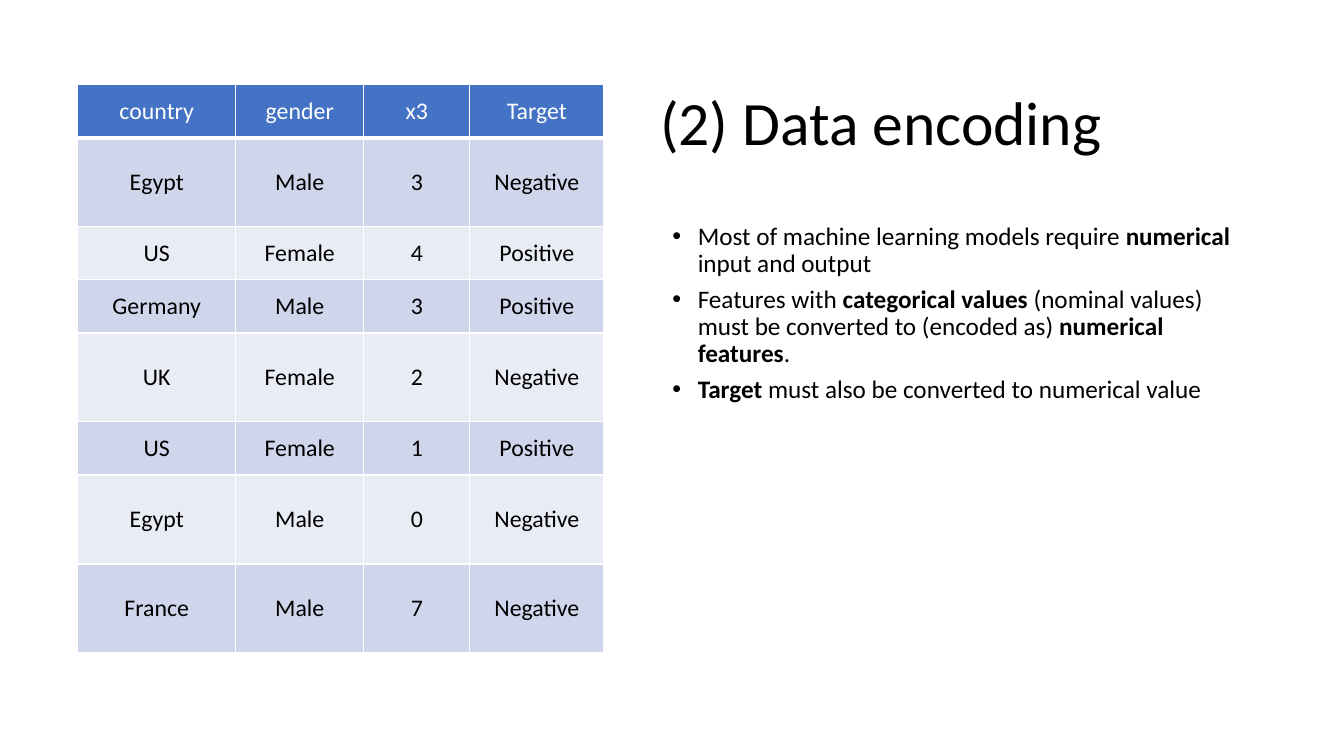
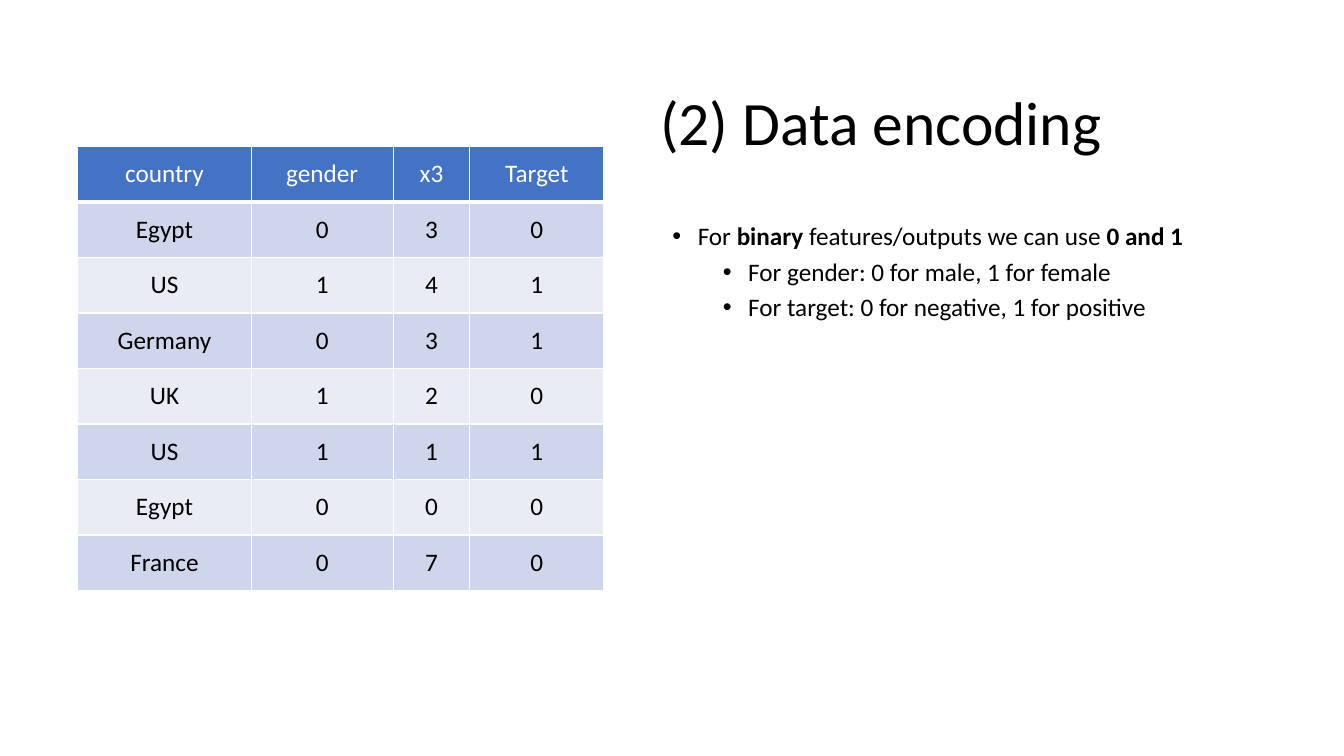
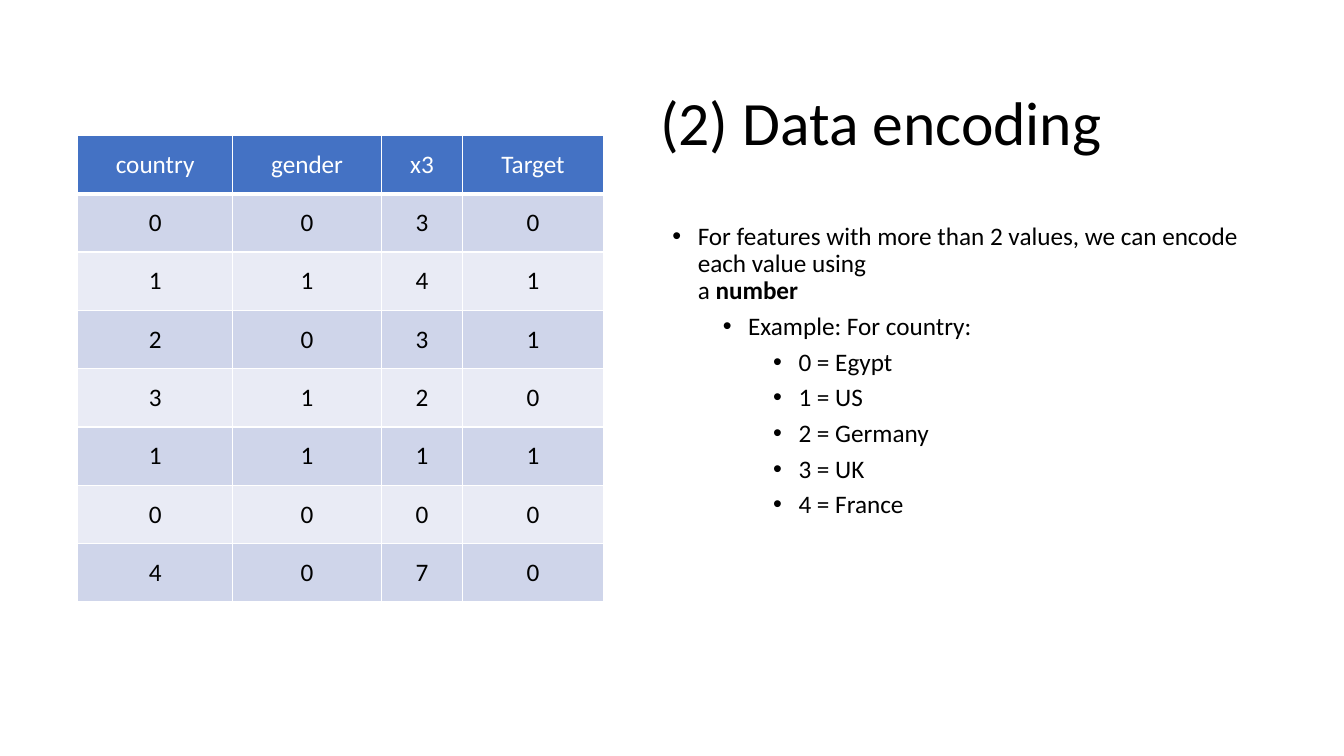
import dataclasses

import lxml.etree
import pptx
import pptx.dml.color
import pptx.enum.text
import pptx.oxml.ns
import pptx.slide
import pptx.table
import pptx.text.text
import pptx.util

Cm = pptx.util.Cm
Pt = pptx.util.Pt
RGBColor = pptx.dml.color.RGBColor
ALIGN = pptx.enum.text.PP_ALIGN
ANCHOR = pptx.enum.text.MSO_ANCHOR
qualified_name = pptx.oxml.ns.qn

# Shared look
BLACK = RGBColor(0x00, 0x00, 0x00)
WHITE = RGBColor(0xFF, 0xFF, 0xFF)
HEADER_BLUE = RGBColor(0x44, 0x72, 0xC4)
BAND_DARK = RGBColor(0xCF, 0xD5, 0xEA)
BAND_LIGHT = RGBColor(0xE9, 0xEB, 0xF5)

TITLE = "(2) Data encoding"
TITLE_FONT = {"name": "Calibri", "size": Pt(44), "bold": False}
BODY_FONT = {"name": "Calibri", "size": Pt(18)}
TITLE_BOX = {"left": Cm(16.38), "top": Cm(1.32), "width": Cm(15.16), "height": Cm(3.68)}
BODY_BOX = TITLE_BOX | {"top": Cm(5.51), "height": Cm(11.63)}
TITLE_PARAGRAPH = {"alignment": ALIGN.LEFT, "line_spacing": 0.9, "space_before": Pt(0)}
BODY_PARAGRAPH = TITLE_PARAGRAPH | {"space_after": Pt(6)}

TABLE_LEFT = Cm(1.96)
TABLE_MIDDLE = Cm(9.29)
FIRST_INDENT = Cm(0.95)
LEVEL_INDENT = Cm(1.27)
BULLET_HANG = Cm(0.64)

# Sample data and its numeric codes
HEADER = ("country", "gender", "x3", "Target")
RECORDS = (
    ("Egypt", "Male", "3", "Negative"),
    ("US", "Female", "4", "Positive"),
    ("Germany", "Male", "3", "Positive"),
    ("UK", "Female", "2", "Negative"),
    ("US", "Female", "1", "Positive"),
    ("Egypt", "Male", "0", "Negative"),
    ("France", "Male", "7", "Negative"),
)
BINARY_CODES = {"Male": "0", "Female": "1", "Negative": "0", "Positive": "1"}
COUNTRY_CODES = {
    country: str(code)
    for code, country in enumerate(("Egypt", "US", "Germany", "UK", "France"))
}


@dataclasses.dataclass(frozen=True)
class Bullet:
    """A list item; text between ** marks is bold."""

    text: str
    level: int = 0


@dataclasses.dataclass(frozen=True)
class DataTable:
    codes: dict[str, str]
    column_widths: tuple[float, ...]
    row_heights: tuple[float, ...]
    font_size: int
    side_margin: float
    edge_margin: float


@dataclasses.dataclass(frozen=True)
class EncodingSlide:
    bullets: tuple[Bullet, ...]
    table: DataTable


ROW_COUNT = len(RECORDS) + 1
SLIDES = (
    EncodingSlide(
        (
            Bullet("Most of machine learning models require **numerical** input and output"),
            Bullet(
                "Features with **categorical values **(nominal values) must be "
                "converted to (encoded as) **numerical features**."
            ),
            Bullet("**Target** must also be converted to numerical value"),
        ),
        DataTable(
            {},
            (3.98, 3.23, 2.67, 3.38),
            (1.34, *(2.24 if record[-1] == "Negative" else 1.34 for record in RECORDS)),
            17, 0.3, 0.15,
        ),
    ),
    EncodingSlide(
        (
            Bullet("For **binary** features/outputs we can use **0 and 1**"),
            Bullet("For gender: 0 for male, 1 for female", 1),
            Bullet("For target: 0 for negative, 1 for positive", 1),
        ),
        DataTable(
            BINARY_CODES, (4.37, 3.58, 1.93, 3.38), (1.4,) * ROW_COUNT, 18, 0.33, 0.16
        ),
    ),
    EncodingSlide(
        (
            Bullet(
                "For features with more than 2 values, we can encode each value using \n"
                "a **number**"
            ),
            Bullet("Example: For country:", 1),
            *(Bullet(f"{code} = {country}", 2) for country, code in COUNTRY_CODES.items()),
        ),
        DataTable(
            BINARY_CODES | COUNTRY_CODES,
            (3.9, 3.76, 2.03, 3.57), (1.47,) * ROW_COUNT, 18, 0.33, 0.17,
        ),
    ),
)


def apply_format(target: object, values: dict[str, object]) -> None:
    for name, value in values.items():
        setattr(target, name, value)


def add_run(
    paragraph: pptx.text.text._Paragraph,
    text: str,
    font: dict[str, object],
    color: RGBColor = BLACK,
) -> None:
    run = paragraph.add_run()
    run.text = text
    apply_format(run.font, font)
    run.font.color.rgb = color


def add_marked_text(paragraph: pptx.text.text._Paragraph, text: str) -> None:
    for line_number, line in enumerate(text.split("\n")):
        if line_number:
            paragraph.add_line_break()
        for part_number, part in enumerate(line.split("**")):
            if part:
                add_run(paragraph, part, BODY_FONT | {"bold": part_number % 2 == 1})


def set_bullet(paragraph: pptx.text.text._Paragraph, level: int) -> None:
    paragraph.level = level
    properties = paragraph._p.get_or_add_pPr()
    properties.set("marL", str(FIRST_INDENT + level * LEVEL_INDENT))
    properties.set("indent", str(-BULLET_HANG))
    for tag, attribute, value in (("a:buFont", "typeface", "Arial"), ("a:buChar", "char", "•")):
        element = lxml.etree.SubElement(properties, qualified_name(tag))
        element.set(attribute, value)


def add_title(slide: pptx.slide.Slide) -> None:
    shape = slide.shapes.title
    apply_format(shape, TITLE_BOX)
    apply_format(
        shape.text_frame,
        {"vertical_anchor": ANCHOR.MIDDLE, "auto_size": pptx.enum.text.MSO_AUTO_SIZE.NONE},
    )
    paragraph = shape.text_frame.paragraphs[0]
    apply_format(paragraph, TITLE_PARAGRAPH)
    add_run(paragraph, TITLE, TITLE_FONT)


def add_bullets(slide: pptx.slide.Slide, bullets: tuple[Bullet, ...]) -> None:
    shape = slide.placeholders[1]
    apply_format(shape, BODY_BOX)
    frame = shape.text_frame
    frame.auto_size = pptx.enum.text.MSO_AUTO_SIZE.NONE
    for index, bullet in enumerate(bullets):
        paragraph = frame.add_paragraph() if index else frame.paragraphs[0]
        apply_format(paragraph, BODY_PARAGRAPH)
        set_bullet(paragraph, bullet.level)
        add_marked_text(paragraph, bullet.text)


def add_borders(cell: pptx.table._Cell, bottom_width: int) -> None:
    properties = cell._tc.get_or_add_tcPr()
    for side, width in (("L", 1), ("R", 1), ("T", 1), ("B", bottom_width)):
        line = lxml.etree.SubElement(properties, qualified_name(f"a:ln{side}"))
        line.set("w", str(Pt(width)))
        fill = lxml.etree.SubElement(line, qualified_name("a:solidFill"))
        color = lxml.etree.SubElement(fill, qualified_name("a:srgbClr"))
        color.set("val", str(WHITE))


def fill_cell(cell: pptx.table._Cell, text: str, row: int, data: DataTable) -> None:
    is_header = row == 0
    add_borders(cell, 3 if is_header else 1)
    cell.fill.solid()
    cell.fill.fore_color.rgb = (
        HEADER_BLUE if is_header else BAND_DARK if row % 2 else BAND_LIGHT
    )
    apply_format(cell, {
        "vertical_anchor": ANCHOR.MIDDLE,
        "margin_left": Cm(data.side_margin),
        "margin_right": Cm(data.side_margin),
        "margin_top": Cm(data.edge_margin),
        "margin_bottom": Cm(data.edge_margin),
    })
    paragraph = cell.text_frame.paragraphs[0]
    paragraph.alignment = ALIGN.CENTER
    font = BODY_FONT | {"size": Pt(data.font_size), "bold": False}
    add_run(paragraph, text, font, WHITE if is_header else BLACK)


def add_data_table(slide: pptx.slide.Slide, data: DataTable) -> None:
    width, height = Cm(sum(data.column_widths)), Cm(sum(data.row_heights))
    top = TABLE_MIDDLE - height // 2
    table = slide.shapes.add_table(
        ROW_COUNT, len(HEADER), TABLE_LEFT, top, width, height
    ).table
    for column, column_width in zip(table.columns, data.column_widths):
        column.width = Cm(column_width)
    for row, row_height in zip(table.rows, data.row_heights):
        row.height = Cm(row_height)
    for row_index, values in enumerate((HEADER, *RECORDS)):
        for column_index, value in enumerate(values):
            text = data.codes.get(value, value)
            fill_cell(table.cell(row_index, column_index), text, row_index, data)


def main() -> None:
    presentation = pptx.Presentation()
    apply_format(presentation, {"slide_width": Cm(33.87), "slide_height": Cm(19.05)})
    layout = presentation.slide_layouts.get_by_name("Title and Content")
    for content in SLIDES:
        slide = presentation.slides.add_slide(layout)
        add_title(slide)
        add_bullets(slide, content.bullets)
        add_data_table(slide, content.table)
    presentation.save("out.pptx")


if __name__ == "__main__":
    main()
